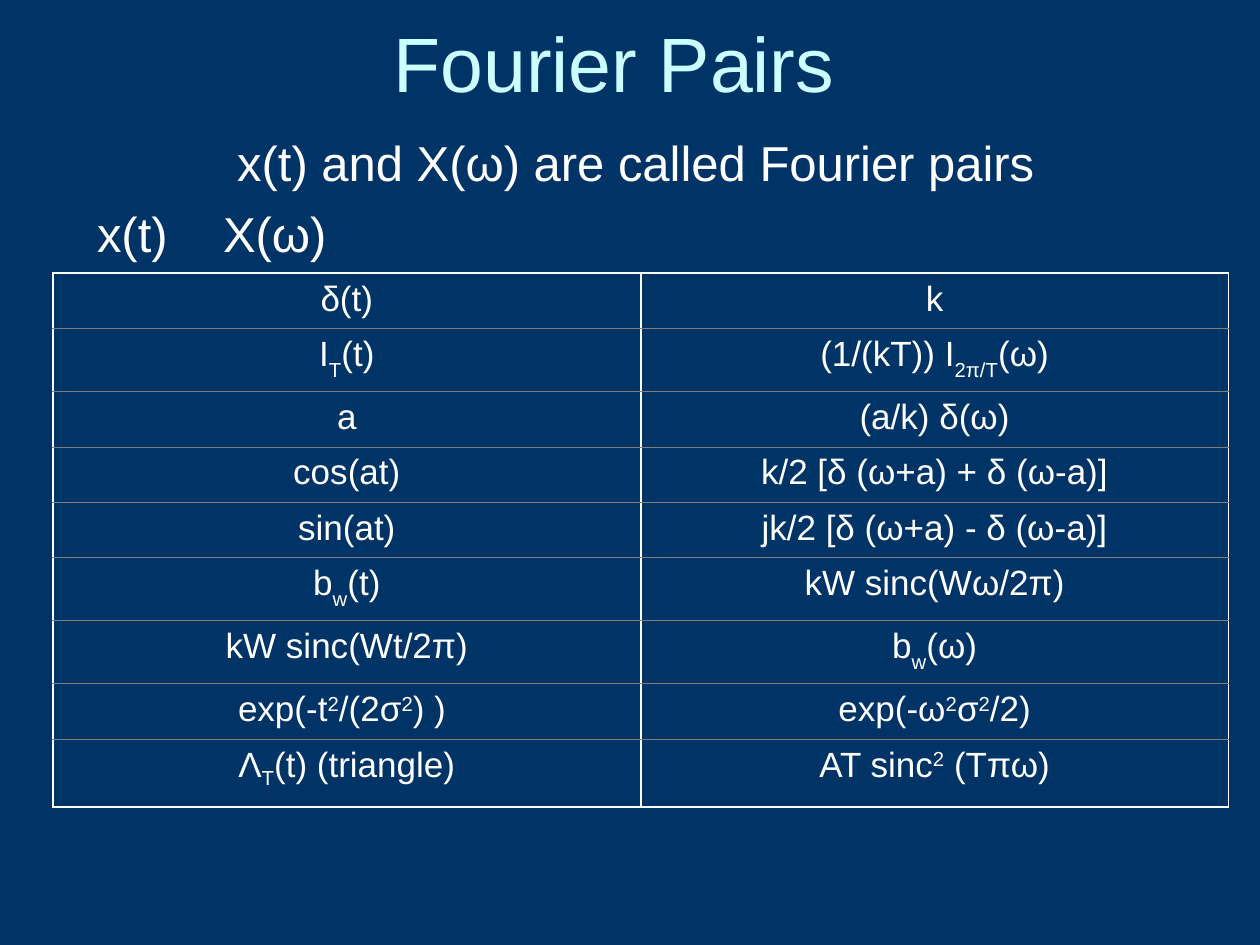
from lxml import etree
from pptx import Presentation
from pptx import util as u
from pptx.dml import color
from pptx.enum import text as t
from pptx.oxml import ns


def ink(code):
    return color.RGBColor.from_string(code)


def put(para, words, size=20, hue="FFFFFF", align=t.PP_ALIGN.CENTER, gap=0, drop=-30):
    para.alignment = align
    para.space_before = u.Pt(gap)
    for part in words.split("|"):
        run = para.add_run()
        run.text = part.lstrip("_^")
        run.font.size = u.Pt(size)
        run.font.name = "Arial"
        run.font.color.rgb = ink(hue)
        shift = {"_": drop, "^": 30}.get(part[0])
        if shift:
            run._r.get_or_add_rPr().set("baseline", str(shift * 1000))


deck = Presentation()
deck.slide_width, deck.slide_height = wide, high = u.Inches(10), u.Inches(7.5)
slide = deck.slides.add_slide(deck.slide_layouts[1])
slide.background.fill.solid()
slide.background.fill.fore_color.rgb = ink("003366")

title, body = slide.placeholders
places = [(title, 0.075, 0.01, 0.825, 0.11), (body, 0.017, 0.133, 0.975, 0.767)]
for box, left, top, width, height in places:
    box.left, box.width = int(left * wide), int(width * wide)
    box.top, box.height = int(top * high), int(height * high)
    box.text_frame.auto_size = t.MSO_AUTO_SIZE.NONE
    box.text_frame.word_wrap = True

title.text_frame.vertical_anchor = t.MSO_ANCHOR.MIDDLE
put(title.text_frame.paragraphs[0], "Fourier Pairs", size=44, hue="CCFFFF")

frame = body.text_frame
frame.vertical_anchor = t.MSO_ANCHOR.TOP
lead, heads = frame.paragraphs[0], frame.add_paragraph()
put(lead, "x(t) and X(ω) are called Fourier pairs", size=28, gap=7)
put(heads, "\tx(t)\tX(ω)", size=28, gap=7, align=t.PP_ALIGN.LEFT)
for para in (lead, heads):
    props = para._p.get_or_add_pPr()
    props.set("marL", "0")
    props.set("indent", "0")
    etree.SubElement(props, ns.qn("a:buNone"))
stops = etree.SubElement(heads._p.pPr, ns.qn("a:tabLst"))
for place in (2.25, 7.04):
    etree.SubElement(stops, ns.qn("a:tab"), pos=str(u.Inches(place)), algn="ctr")

pairs = [
    ("δ(t)", "k", 0.44),
    ("I|_T|(t)", "(1/(kT)) I|_2π/T|(ω)", 0.5),
    ("a", "(a/k) δ(ω)", 0.44),
    ("cos(at)", "k/2 [δ (ω+a) + δ (ω-a)]", 0.44),
    ("sin(at)", "jk/2 [δ (ω+a) - δ (ω-a)]", 0.44),
    ("b|_w|(t)", "kW sinc(Wω/2π)", 0.5),
    ("kW sinc(Wt/2π)", "b|_w|(ω)", 0.5),
    ("exp(-t|^2|/(2σ|^2|) ) ", "exp(-ω|^2|σ|^2|/2)", 0.44),
    ("Λ|_T|(t) (triangle)", "AT sinc|^2| (Tπω)", 0.54),
]
last = len(pairs) - 1
tall = u.Inches(sum(pair[2] for pair in pairs))
grid = slide.shapes.add_table(
    len(pairs), 2, int(0.042 * wide), int(0.289 * high), int(0.933 * wide), tall
).table
grid.first_row = grid.horz_banding = False
edge, rule = ("FFFFFF", 1.08), ("808080", 0.45)

for row, (*words, height) in enumerate(pairs):
    grid.rows[row].height = u.Inches(height)
    for col, word in enumerate(words):
        cell = grid.cell(row, col)
        cell.fill.background()
        put(cell.text_frame.paragraphs[0], word, drop=-25 if row == last else -30)
        props = cell._tc.get_or_add_tcPr()
        sides = {
            "L": edge,
            "R": edge,
            "T": edge if row == 0 else rule,
            "B": edge if row == last else rule,
        }
        for spot, (side, (hue, thick)) in enumerate(sides.items()):
            line = etree.Element(ns.qn(f"a:ln{side}"), w=str(u.Pt(thick)))
            fill = etree.SubElement(line, ns.qn("a:solidFill"))
            etree.SubElement(fill, ns.qn("a:srgbClr"), val=hue)
            props.insert(spot, line)

deck.save("out.pptx")
